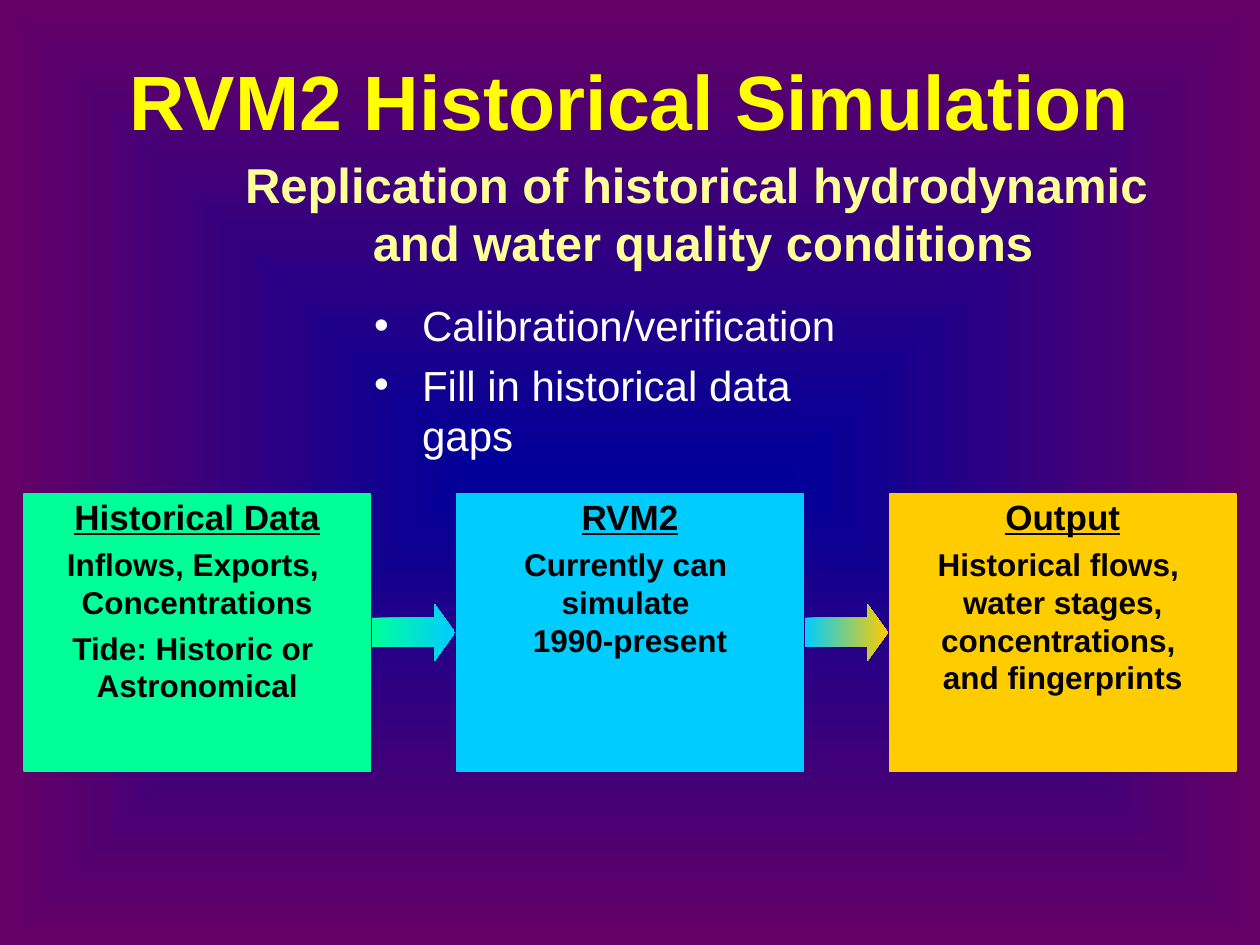
from dataclasses import dataclass

from lxml import etree
from pptx import Presentation
from pptx.dml.color import RGBColor
from pptx.enum import shapes, text
from pptx.oxml.ns import qn
from pptx.util import Inches, Pt


@dataclass(frozen=True)
class Theme:
    font: str = "Arial"
    center: str = "000099"
    edge: str = "660066"
    title: str = "FFFF00"
    subtitle: str = "FFFF99"
    body: str = "FFFFFF"
    ink: str = "000000"
    green: str = "00FF99"
    blue: str = "00CCFF"
    gold: str = "FFCC00"
    title_size: int = 44
    subtitle_size: int = 28
    body_size: int = 24
    heading_size: int = 20
    detail_size: int = 18


THEME = Theme()
MODEL = "RVM2"

# Heading, colour, then groups of lines that are spaced apart
STAGES = [
    ("Historical Data", THEME.green,
     [["Inflows, Exports, ", "Concentrations"],
      ["Tide: Historic or ", "Astronomical"]]),
    (MODEL, THEME.blue,
     [["Currently can ", "simulate ", "1990-present"]]),
    ("Output", THEME.gold,
     [["Historical flows, ", "water stages,", "concentrations, ", "and fingerprints"]]),
]


def place(shape, box):
    shape.left, shape.top, shape.width, shape.height = [Inches(value) for value in box]


def add_text(frame, content, *, size, color, bold=False, underline=False,
             align=text.PP_ALIGN.CENTER, before=0):
    """Write one paragraph, using the frame's empty first paragraph if there is one."""
    paragraph = frame.paragraphs[0]
    if paragraph.runs:
        paragraph = frame.add_paragraph()
    paragraph.alignment = align
    paragraph.space_before = Pt(before)
    run = paragraph.add_run()
    run.text = content
    font = run.font
    font.name, font.size = THEME.font, Pt(size)
    font.bold, font.underline = bold, underline
    font.color.rgb = RGBColor.from_string(color)
    return paragraph


def tighten(frame):
    """Give a frame thin margins and no wrapping."""
    frame.word_wrap = False
    frame.margin_left = frame.margin_right = Inches(0.01)
    frame.margin_top = frame.margin_bottom = Inches(0.01)


def set_gradient(fill, start, end):
    fill.gradient()
    fill.gradient_angle = 0
    for stop, color in zip(fill.gradient_stops, (start, end)):
        stop.color.rgb = RGBColor.from_string(color)


def paint_background(slide):
    set_gradient(slide.background.fill, THEME.center, THEME.edge)
    # Turn the linear gradient into one that spreads from the centre
    linear = next(slide.element.iter(qn("a:lin")))
    gradient = linear.getparent()
    gradient.remove(linear)
    spread = etree.SubElement(gradient, qn("a:path"), path="shape")
    etree.SubElement(spread, qn("a:fillToRect"),
                     {side: "50000" for side in "ltrb"})


def fill_title(slide, box):
    title = slide.shapes.title
    place(title, box)
    frame = title.text_frame
    frame.auto_size = text.MSO_AUTO_SIZE.NONE
    frame.vertical_anchor = text.MSO_ANCHOR.MIDDLE
    add_text(frame, f"{MODEL} Historical Simulation", size=THEME.title_size,
             color=THEME.title, bold=True)


def add_subtitle(slide, box):
    subtitle = slide.shapes.add_textbox(*[Inches(value) for value in box])
    frame = subtitle.text_frame
    tighten(frame)
    frame.auto_size = text.MSO_AUTO_SIZE.SHAPE_TO_FIT_TEXT
    frame.vertical_anchor = text.MSO_ANCHOR.MIDDLE
    lines = ["Replication of historical hydrodynamic ", "and water quality conditions"]
    for line, before in zip(lines, (14, 0)):
        add_text(frame, line, size=THEME.subtitle_size, color=THEME.subtitle,
                 bold=True, before=before)


def fill_bullets(slide, box):
    body = slide.placeholders[1]
    place(body, box)
    frame = body.text_frame
    frame.auto_size = text.MSO_AUTO_SIZE.NONE
    for line in ("Calibration/verification", "Fill in historical data gaps"):
        paragraph = add_text(frame, line, size=THEME.body_size, color=THEME.body,
                             align=text.PP_ALIGN.LEFT, before=5)
        properties = paragraph._p.get_or_add_pPr()
        properties.set("marL", str(Inches(0.38)))
        properties.set("indent", str(-Inches(0.38)))
        etree.SubElement(properties, qn("a:buChar"), char="•")


def add_stage(slide, box, heading, color, groups):
    stage = slide.shapes.add_shape(shapes.MSO_SHAPE.RECTANGLE,
                                   *[Inches(value) for value in box])
    stage.shadow.inherit = False
    stage.fill.solid()
    stage.fill.fore_color.rgb = RGBColor.from_string(color)
    stage.line.color.rgb = RGBColor.from_string(color)
    stage.line.width = Pt(0.75)
    frame = stage.text_frame
    tighten(frame)
    frame.vertical_anchor = text.MSO_ANCHOR.TOP
    add_text(frame, heading, size=THEME.heading_size, color=THEME.ink,
             bold=True, underline=True)
    for group in groups:
        for index, line in enumerate(group):
            add_text(frame, line, size=THEME.detail_size, color=THEME.ink,
                     bold=True, before=0 if index else 4.5)


def add_arrow(slide, box, start, end):
    arrow = slide.shapes.add_shape(shapes.MSO_SHAPE.RIGHT_ARROW,
                                   *[Inches(value) for value in box])
    arrow.shadow.inherit = False
    arrow.adjustments[0], arrow.adjustments[1] = 0.5, 0.36
    set_gradient(arrow.fill, start, end)
    arrow.line.fill.background()


def add_flow(slide, box):
    """Spread the stages evenly over the box, with an arrow centred in each gap."""
    left, top, width, height = box
    stage_width, arrow_width, arrow_height = 2.75, 0.66, 0.46
    pitch = (width - stage_width) / (len(STAGES) - 1)
    gap = pitch - stage_width
    for index, (heading, color, groups) in enumerate(STAGES):
        x = left + index * pitch
        add_stage(slide, (x, top, stage_width, height), heading, color, groups)
        if index:
            arrow_box = (x - (gap + arrow_width) / 2, top + (height - arrow_height) / 2,
                         arrow_width, arrow_height)
            add_arrow(slide, arrow_box, STAGES[index - 1][1], color)


def main():
    presentation = Presentation()
    presentation.slide_width, presentation.slide_height = Inches(10), Inches(7.5)
    slide = presentation.slides.add_slide(presentation.slide_layouts[1])
    paint_background(slide)
    fill_title(slide, (0.75, 0.17, 8.5, 1.25))
    fill_bullets(slide, (2.87, 2.33, 4.25, 1.08))
    add_subtitle(slide, (1.89, 1.21, 7.38, 0.96))
    add_flow(slide, (0.19, 3.92, 9.62, 2.2))
    presentation.save("out.pptx")


if __name__ == "__main__":
    main()
